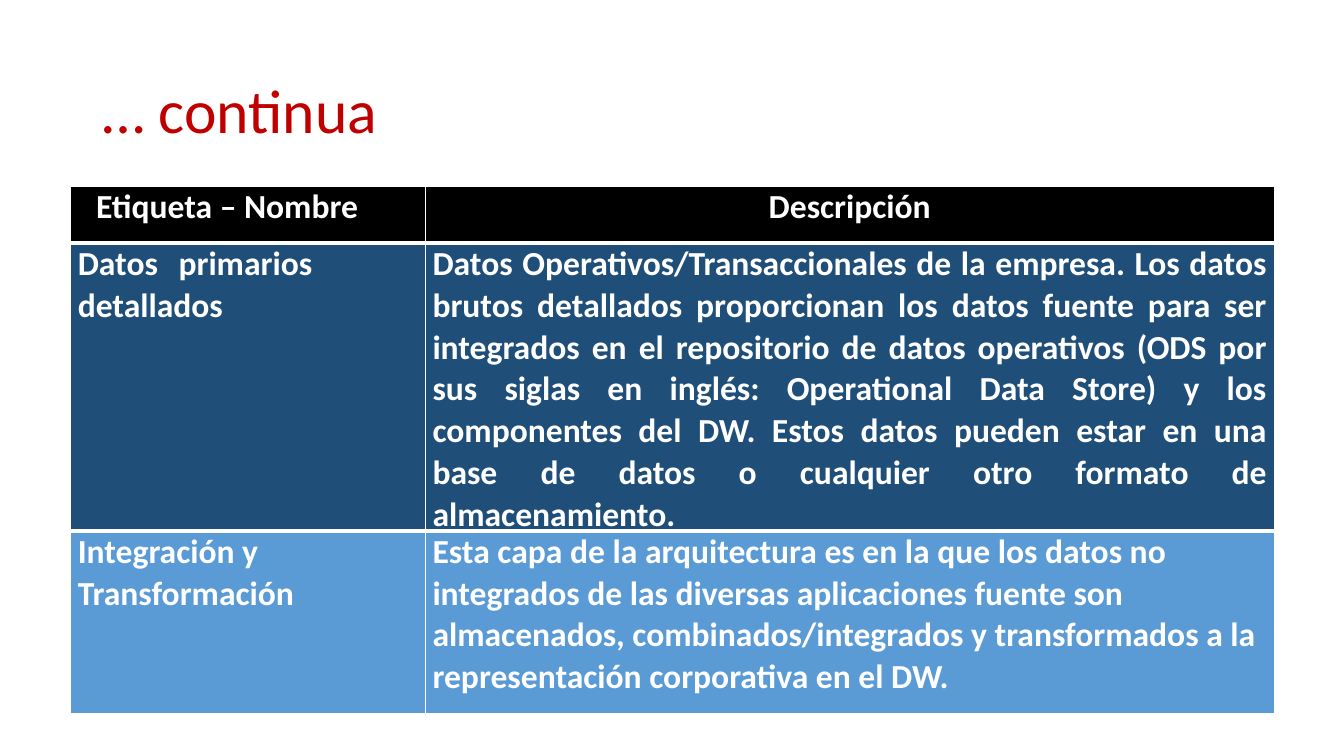
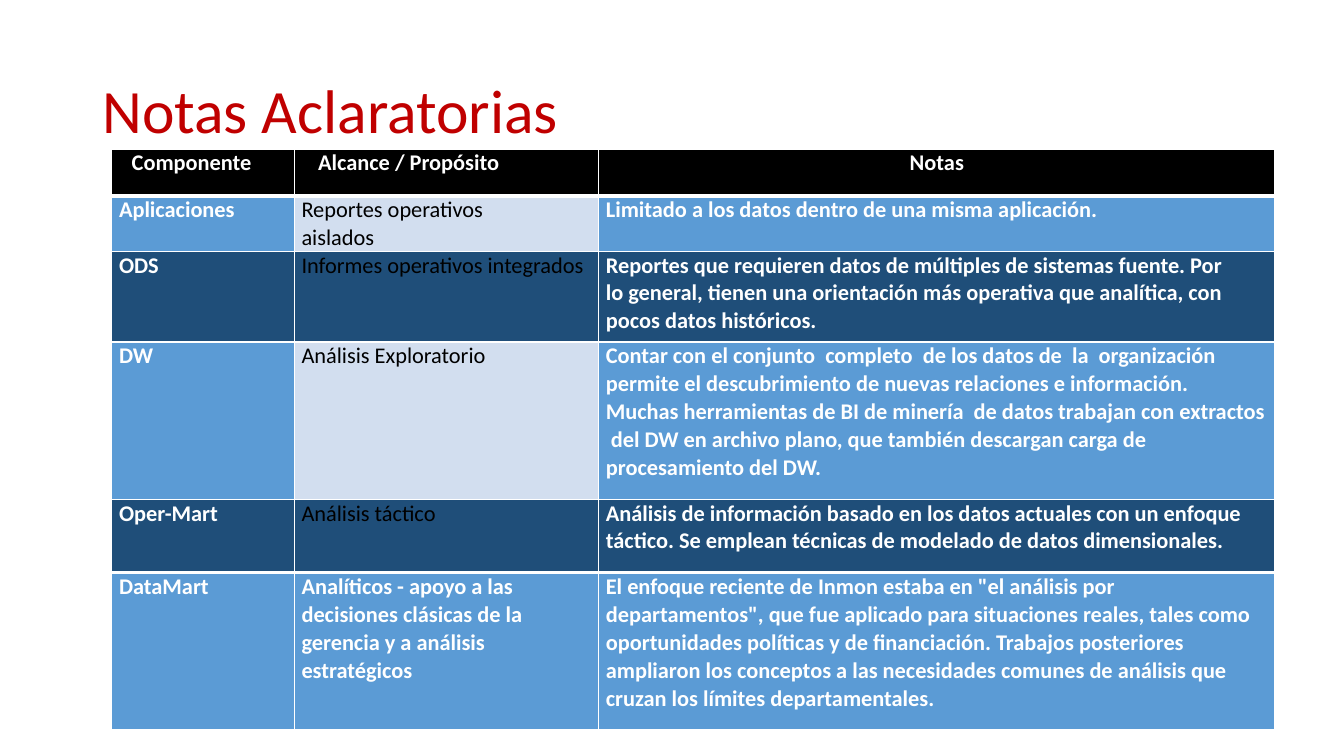
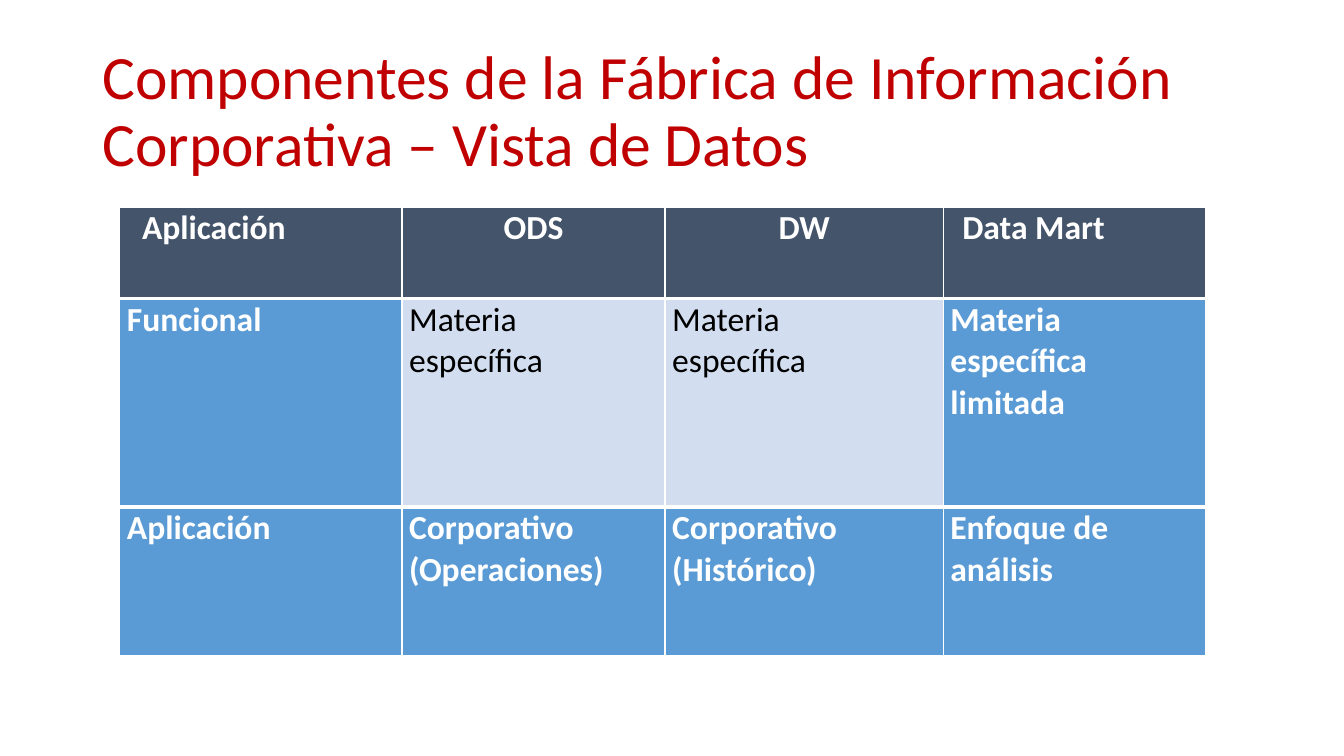
"""Three slides of titled tables about the corporate information factory."""
from dataclasses import dataclass

from lxml.etree import SubElement
from pptx import Presentation
from pptx.dml.color import RGBColor as RGB
from pptx.enum.text import MSO_ANCHOR as ANCHOR, PP_ALIGN as ALIGN
from pptx.oxml.ns import qn
from pptx.util import Cm, Pt


@dataclass(frozen=True)
class Theme:
    font: str = "Calibri"
    red: str = "C00000"
    black: str = "000000"
    white: str = "FFFFFF"
    navy: str = "1F4E79"
    blue: str = "5B9BD5"
    pale: str = "D2DEEF"
    slate: str = "44546A"
    title_size: int = 44
    large: int = 24
    small: int = 16
    thin: int = 1
    thick: int = 3


theme = Theme()


def style_runs(paragraph, size, color, bold=False):
    for run in paragraph.runs:
        run.font.name = theme.font
        run.font.size = Pt(size)
        run.font.bold = bold
        run.font.color.rgb = RGB.from_string(color)


def draw_borders(cell, top, bottom):
    edges = {"lnL": theme.thin, "lnR": theme.thin, "lnT": top, "lnB": bottom}
    properties = cell._tc.get_or_add_tcPr()
    for edge, weight in edges.items():
        line = SubElement(properties, qn(f"a:{edge}"), w=str(Pt(weight)))
        solid = SubElement(line, qn("a:solidFill"))
        SubElement(solid, qn("a:srgbClr"), val=theme.white)


slides = [
    {
        "title": "… continua",
        "at": (1.78, 4.7),
        "columns": [8.94, 21.39],
        "heights": [1.42, 6.88, 4.6],
        "size": theme.large,
        "bands": [theme.black, theme.navy, theme.blue],
        "header_indents": [0.64, None],
        "plain": [],
        "right_indents": {},
        "justified": [(1, 1)],
        "rows": [
            ["Etiqueta – Nombre", "Descripción"],
            [
                "Datos\tprimarios detallados",
                "Datos Operativos/Transaccionales de la empresa. Los datos brutos "
                "detallados proporcionan los datos fuente para ser integrados en el "
                "repositorio de datos operativos (ODS por sus siglas en inglés: "
                "Operational Data Store) y los componentes del DW. Estos datos pueden "
                "estar en una base de datos o cualquier otro formato de almacenamiento.",
            ],
            [
                "Integración y Transformación",
                "Esta capa de la arquitectura es en la que los datos no integrados de "
                "las diversas aplicaciones fuente son almacenados, "
                "combinados/integrados y transformados a la representación "
                "corporativa en el DW.",
            ],
        ],
    },
    {
        "title": "Notas Aclaratorias",
        "at": (2.82, 3.76),
        "columns": [4.6, 7.67, 17.04],
        "heights": [1.17, 1.4, 2.29, 3.96, 1.85, 3.96],
        "size": theme.small,
        "bands": [theme.black, theme.blue, theme.navy, theme.blue, theme.navy, theme.blue],
        "header_indents": [0.5, 0.6, None],
        "plain": [(1, 1), (2, 1), (3, 1), (4, 1)],
        "right_indents": {(1, 1): 1.5, (2, 2): 0.9},
        "justified": [],
        "rows": [
            ["Componente", "Alcance / Propósito", "Notas"],
            [
                "Aplicaciones",
                "Reportes operativos aislados",
                "Limitado a los datos dentro de una misma aplicación.",
            ],
            [
                "ODS",
                "Informes operativos integrados",
                "Reportes que requieren datos de múltiples de sistemas fuente. Por lo "
                "general, tienen una orientación más operativa que analítica, con "
                "pocos datos históricos.",
            ],
            [
                "DW",
                "Análisis Exploratorio",
                "Contar con el conjunto  completo  de los datos de  la  organización  "
                "permite el descubrimiento de nuevas relaciones e información.\v"
                "Muchas herramientas de BI de minería  de datos trabajan con extractos  "
                "del DW en archivo plano, que también descargan carga de "
                "procesamiento del DW.",
            ],
            [
                "Oper-Mart",
                "Análisis táctico",
                "Análisis de información basado en los datos actuales con un enfoque "
                "táctico. Se emplean técnicas de modelado de datos dimensionales.",
            ],
            [
                "DataMart",
                "Analíticos - apoyo a las decisiones clásicas de la gerencia y a "
                "análisis estratégicos",
                'El enfoque reciente de Inmon estaba en "el análisis por '
                'departamentos", que fue aplicado para situaciones reales, tales como '
                "oportunidades políticas y de financiación. Trabajos posteriores "
                "ampliaron los conceptos a las necesidades comunes de análisis que "
                "cruzan los límites departamentales.",
            ],
        ],
    },
    {
        "title": "Componentes de la Fábrica de Información Corporativa – Vista de Datos",
        "at": (3.02, 5.23),
        "columns": [7.11, 6.63, 7.01, 6.6],
        "heights": [2.29, 5.26, 3.73],
        "size": theme.large,
        "bands": [theme.slate, theme.blue, theme.blue],
        "header_indents": [0.56, None, None, 0.48],
        "plain": [(1, 1), (1, 2)],
        "right_indents": {(1, 1): 1.2, (1, 2): 1.2},
        "justified": [],
        "rows": [
            ["Aplicación", "ODS", "DW", "Data Mart"],
            ["Funcional", "Materia específica", "Materia específica",
             "Materia específica limitada"],
            ["Aplicación", "Corporativo (Operaciones)", "Corporativo (Histórico)",
             "Enfoque de análisis"],
        ],
    },
]

deck = Presentation()
deck.slide_width, deck.slide_height = Cm(33.87), Cm(19.05)

for content in slides:
    slide = deck.slides.add_slide(deck.slide_layouts[6])

    heading = slide.shapes.add_textbox(Cm(2.33), Cm(1.01), Cm(29.21), Cm(3.68)).text_frame
    heading.word_wrap = True
    heading.vertical_anchor = ANCHOR.MIDDLE
    heading.text = content["title"]
    heading.paragraphs[0].line_spacing = 0.9
    style_runs(heading.paragraphs[0], theme.title_size, theme.red)

    rows, columns, heights = content["rows"], content["columns"], content["heights"]
    left, top = content["at"]
    grid = slide.shapes.add_table(
        len(rows), len(columns), Cm(left), Cm(top), Cm(sum(columns)), Cm(sum(heights))
    ).table
    grid.first_row = grid.horz_banding = False
    for column, width in zip(grid.columns, columns):
        column.width = Cm(width)
    for row, height in zip(grid.rows, heights):
        row.height = Cm(height)

    last = len(rows) - 1
    for r, (texts, band) in enumerate(zip(rows, content["bands"])):
        for c, text in enumerate(texts):
            cell = grid.cell(r, c)
            plain = (r, c) in content["plain"]
            draw_borders(
                cell,
                theme.thick if r in (1, last) else theme.thin,
                theme.thick if r in (0, last - 1) else theme.thin,
            )
            cell.fill.solid()
            fill = theme.pale if plain and band == theme.blue else band
            cell.fill.fore_color.rgb = RGB.from_string(fill)
            cell.margin_left = cell.margin_right = cell.margin_top = cell.margin_bottom = 0

            paragraph = cell.text_frame.paragraphs[0]
            paragraph.text = text
            paragraph.space_before = Pt(1.1 if r == 0 else 0.3)
            paragraph.line_spacing = 1.0 if r == 0 else 1.02
            indent = content["header_indents"][c] if r == 0 else 0.18
            if indent is None:
                paragraph.alignment = ALIGN.CENTER
            elif (r, c) in content["justified"]:
                paragraph.alignment = ALIGN.JUSTIFY
            else:
                paragraph.alignment = ALIGN.LEFT
            properties = paragraph._p.get_or_add_pPr()
            right_indent = content["right_indents"].get((r, c), 0.18 if indent else 0)
            properties.set("marL", str(Cm(indent or 0)))
            properties.set("marR", str(Cm(right_indent)))
            properties.set("indent", "0")
            if "\t" in text:
                stops = SubElement(properties, qn("a:tabLst"))
                SubElement(stops, qn("a:tab"), pos=str(Cm(2.9)), algn="l")
            style_runs(
                paragraph, content["size"], theme.black if plain else theme.white, not plain
            )

deck.save("out.pptx")
